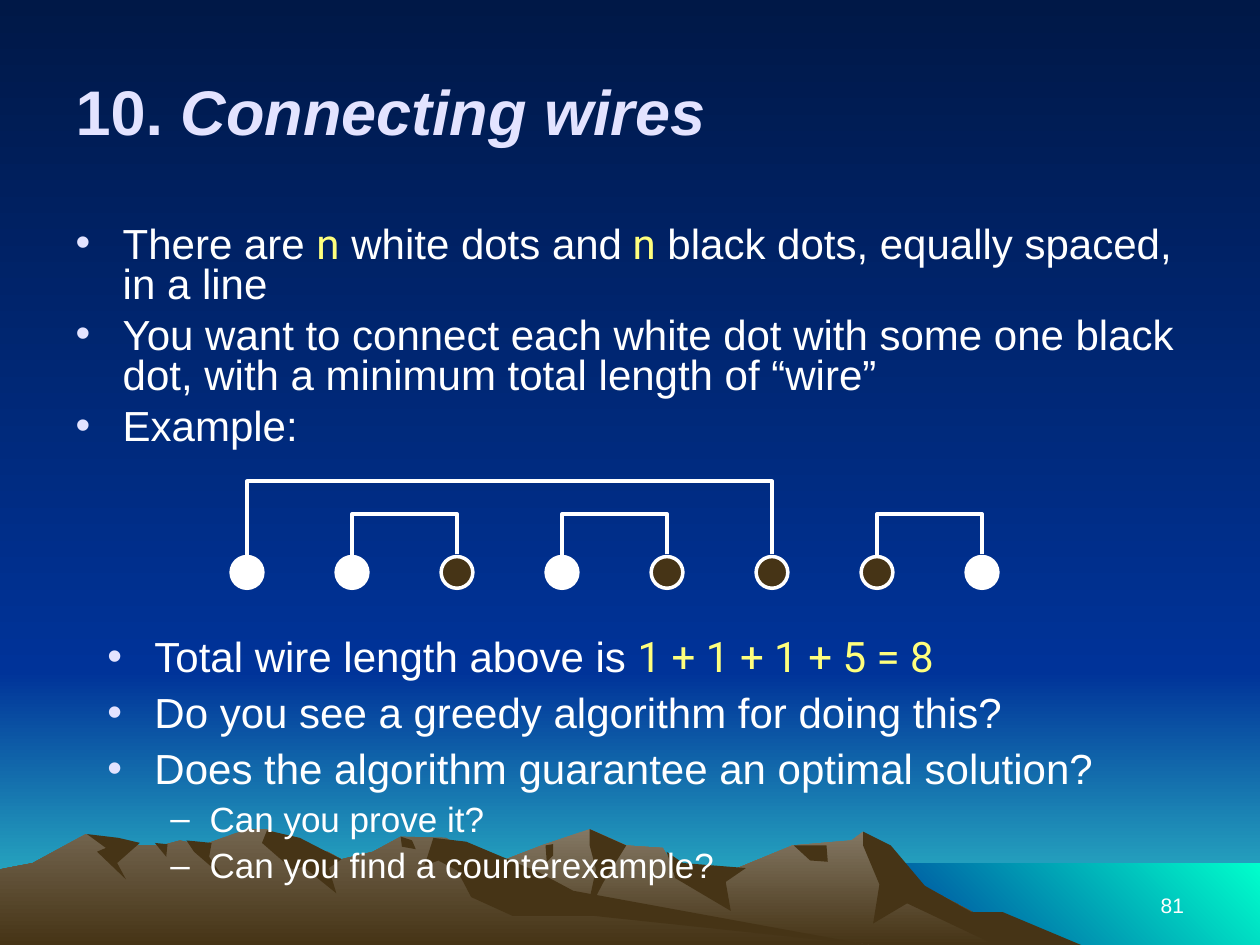
"""Build the "Connecting wires" slide: mountain scenery, two lists and a wiring diagram."""
from lxml import etree
from pptx import Presentation
from pptx.dml.color import RGBColor
from pptx.enum.shapes import MSO_CONNECTOR, MSO_SHAPE
from pptx.enum.text import MSO_ANCHOR, MSO_AUTO_SIZE, PP_ALIGN
from pptx.oxml.ns import qn
from pptx.util import Cm, Pt

OVAL, RECTANGLE, ELBOW = MSO_SHAPE.OVAL, MSO_SHAPE.RECTANGLE, MSO_CONNECTOR.ELBOW
LEFT, RIGHT = PP_ALIGN.LEFT, PP_ALIGN.RIGHT
MIDDLE, TOP, BOTTOM = MSO_ANCHOR.MIDDLE, MSO_ANCHOR.TOP, MSO_ANCHOR.BOTTOM
WHITE, LAVENDER, YELLOW, BROWN = "FFFFFF", "E3E3FF", "FFFF7D", "463416"
NIGHT, BLUE, TEAL, AQUA = "001847", "003399", "33CCCC", "00FFCC"
FAR_ROCK, NEAR_ROCK = "847864", "73654F"
DOWNWARD, UP_RIGHT = 270, 45
PLAIN = {"name": "Arial", "color": WHITE}
MATH = {"name": "Roboto", "color": YELLOW}
WIDTH, HEIGHT = 25.4, 19.05
HORIZON, SHORE_LEFT, SHORE_TOP = 13.54, 17.35, 17.4


def paint(fill, colors, angle=DOWNWARD):
    """Fill with one colour, or with a gradient of two."""
    if len(colors) == 1:
        fill.solid()
        fill.fore_color.rgb = RGBColor.from_string(colors[0])
        return
    fill.gradient()
    fill.gradient_angle = angle
    for stop, color in zip(fill.gradient_stops, colors):
        stop.color.rgb = RGBColor.from_string(color)


def write(para, spans, **common):
    """Add formatted spans of text to a paragraph."""
    for text, own in spans:
        span = para.add_run()
        span.text = text
        values = {**common, **own}
        span.font.color.rgb = RGBColor.from_string(values.pop("color"))
        for name, value in values.items():
            setattr(span.font, name, value)


deck = Presentation()
deck.slide_width, deck.slide_height = Cm(WIDTH), Cm(HEIGHT)
page = deck.slides.add_slide(deck.slide_layouts[3])
paint(page.background.fill, [NIGHT, BLUE])

scenery = []
bands = {
    "dusk": (0, HORIZON, [BLUE, TEAL], DOWNWARD),
    "sky": (0, 0, [NIGHT, BLUE], DOWNWARD),
    "sea": (SHORE_LEFT, SHORE_TOP, [BLUE, AQUA], UP_RIGHT),
}
for name, (left, top, colors, angle) in bands.items():
    bottom = HORIZON if name == "sky" else HEIGHT
    band = page.shapes.add_shape(RECTANGLE, Cm(left), Cm(top), Cm(WIDTH - left), Cm(bottom - top))
    scenery.append((band, colors, angle))

grid = Cm(WIDTH) / 1000
ground = 750
ranges = {
    "far": {
        "rock": FAR_ROCK,
        "skyline": [(258, 750), (327, 709), (394, 685), (430, 671), (468, 658), (497, 671),
                    (526, 673), (536, 690), (566, 697), (629, 671), (676, 667), (685, 660),
                    (723, 698), (821, 750)],
        "shadows": {
            "main slope": [(685, 660), (707, 671), (734, 703), (771, 724), (796, 724), (858, 750),
                           (790, 750), (720, 717), (693, 733), (698, 702), (685, 671)],
            "middle peak": [(468, 658), (497, 671), (479, 700), (465, 727), (473, 690), (468, 671)],
            "saddle": [(529, 676), (542, 685), (592, 689), (576, 700), (580, 723), (536, 697)],
            "right notch": [(630, 671), (656, 671), (657, 684), (643, 683)],
            "left notch": [(433, 671), (439, 670), (439, 679), (434, 684)],
        },
    },
    "near": {
        "rock": NEAR_ROCK,
        "skyline": [(0, 690), (26, 685), (68, 662), (94, 671), (128, 671), (143, 667), (160, 671),
                    (196, 658), (212, 658), (223, 663), (236, 681), (260, 676), (271, 682),
                    (296, 676), (318, 664), (354, 665), (432, 712), (690, 750)],
        "shadows": {
            "main peak": [(212, 659), (238, 665), (271, 682), (261, 689), (267, 709), (241, 688),
                          (232, 690), (208, 669)],
            "long slope": [(344, 665), (370, 668), (427, 692), (455, 707), (690, 750), (472, 727),
                           (407, 727), (374, 712), (363, 691), (348, 683), (337, 687)],
            "right notch": [(318, 664), (327, 667), (330, 674), (319, 672)],
            "middle notch": [(148, 667), (168, 669), (166, 680), (176, 695), (154, 676)],
            "small notch": [(123, 669), (133, 670), (132, 680)],
            "left peak": [(69, 662), (94, 665), (111, 669), (93, 685), (100, 698), (77, 676),
                          (84, 673)],
        },
    },
}
for mountain in ranges.values():
    skyline = mountain["skyline"]
    massif = skyline + [(skyline[-1][0], ground), (skyline[0][0], ground)]
    faces = [(massif, [mountain["rock"], BROWN])]
    faces += [(shadow, [BROWN]) for shadow in mountain["shadows"].values()]
    for corners, colors in faces:
        builder = page.shapes.build_freeform(*corners[0], scale=grid)
        builder.add_line_segments(corners[1:], close=True)
        scenery.append((builder.convert_to_shape(), colors, DOWNWARD))

for part, colors, angle in scenery:
    part.shadow.inherit = False
    part.line.fill.background()
    paint(part.fill, colors, angle)

title, rules, questions = page.placeholders
number = page.shapes.add_textbox(0, 0, 0, 0)
boxes = [
    (number, 18.2, 17.35, 5.92, 1.27, BOTTOM),
    (title, 1.27, 0.64, 22.86, 3.18, MIDDLE),
    (rules, 1.27, 4.45, 22.86, 5.16, TOP),
    (questions, 1.91, 12.7, 21.59, 5.72, TOP),
]
for box, left, top, width, height, anchor in boxes:
    box.left, box.top, box.width, box.height = Cm(left), Cm(top), Cm(width), Cm(height)
    frame = box.text_frame
    frame.word_wrap, frame.auto_size, frame.vertical_anchor = True, MSO_AUTO_SIZE.NONE, anchor
    page.shapes._spTree.append(box._element)

para = number.text_frame.paragraphs[0]
para.alignment = RIGHT
write(para, [("81", PLAIN)], size=Pt(12))
para = title.text_frame.paragraphs[0]
para.alignment = LEFT
write(para, [("10. ", {}), ("Connecting wires", {"italic": True})],
      name="Arial", color=LAVENDER, size=Pt(36), bold=True)

lists = [
    (rules, 0.8, [
        (0, [("There are ", PLAIN), ("n", MATH), (" white dots and", PLAIN), (" n", MATH),
             (" black dots, equally spaced, in a line", PLAIN)]),
        (0, [("You want to connect each white dot with some one black dot, "
              "with a minimum total length of “wire”", PLAIN)]),
        (0, [("Example:", PLAIN)]),
    ]),
    (questions, 0.9, [
        (0, [("Total wire length above is ", PLAIN), ("1 + 1 + 1 + 5 = 8", MATH)]),
        (0, [("Do you see a greedy algorithm for doing this?", PLAIN)]),
        (0, [("Does the algorithm guarantee an optimal solution?", PLAIN)]),
        (1, [("Can you prove it?", PLAIN)]),
        (1, [("Can you find a counterexample?", PLAIN)]),
    ]),
]
levels = [("•", LAVENDER, 0.95, 0.95, 24, 6), ("–", WHITE, 2.06, 0.79, 20, 5)]
for box, spacing, items in lists:
    frame = box.text_frame
    for index, (level, spans) in enumerate(items):
        bullet, color, margin, hanging, size, before = levels[level]
        para = frame.add_paragraph() if index else frame.paragraphs[0]
        para.level = level
        properties = para._p.get_or_add_pPr()
        properties.set("marL", str(Cm(margin)))
        properties.set("indent", str(-Cm(hanging)))
        etree.SubElement(etree.SubElement(properties, qn("a:buClr")), qn("a:srgbClr"), val=color)
        etree.SubElement(properties, qn("a:buFont"), typeface="Arial")
        etree.SubElement(properties, qn("a:buChar"), char=bullet)
        para.alignment = LEFT
        para.line_spacing = spacing
        para.space_before = Pt(before if index else 0)
        write(para, spans, size=Pt(size))

pitch, first_left, dot_top, diameter = WIDTH / 12, 4.66, 11.22, 0.64
dots, waiting, pairs = [], [], []
for index, color in enumerate([WHITE, WHITE, BROWN, WHITE, BROWN, BROWN, BROWN, WHITE]):
    dot = page.shapes.add_shape(OVAL, Cm(first_left + index * pitch), Cm(dot_top),
                                Cm(diameter), Cm(diameter))
    dot.shadow.inherit = False
    paint(dot.fill, [color])
    paint(dot.line.fill, [WHITE])
    dot.line.width = Pt(2)
    dots.append(dot)
    if waiting and waiting[-1][1] != color:
        pairs.append((waiting.pop()[0], index))
    else:
        waiting.append((index, color))

wire_base, depth, low_rise, high_rise = 11.18, 0.01, 0.81, 1.47
for start, end in pairs:
    wire = page.shapes.add_connector(ELBOW, 0, 0, 0, 0)
    wire.begin_connect(dots[start], 0)
    wire.end_connect(dots[end], 0)
    length = (end - start) * pitch
    middle = first_left + diameter / 2 + (start + end) * pitch / 2
    wire.left, wire.top = Cm(middle - depth / 2), Cm(wire_base - length / 2)
    wire.width, wire.height = Cm(depth), Cm(length)
    properties = wire._element.spPr
    properties.xfrm.set("rot", str(270 * 60000))
    properties.xfrm.set("flipH", "1")
    rise = low_rise if end - start == 1 else high_rise
    guides = properties.find(qn("a:prstGeom")).get_or_add_avLst()
    etree.SubElement(guides, qn("a:gd"), name="adj1", fmla=f"val {-round(rise / depth * 100000)}")
    paint(wire.line.fill, [WHITE])
    wire.line.width = Pt(2.25)
    etree.SubElement(properties, qn("a:effectLst"))

deck.save("out.pptx")
